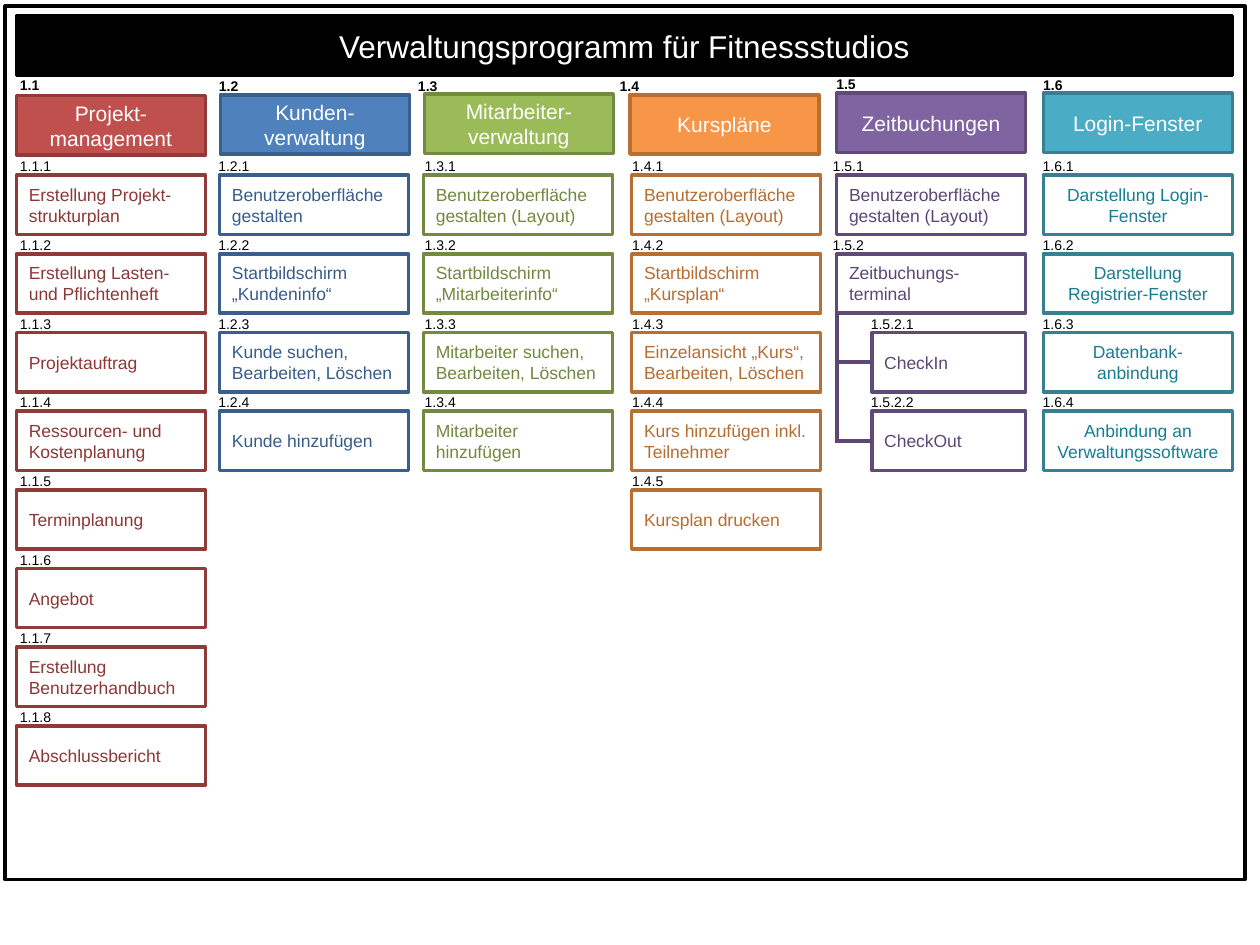
from dataclasses import dataclass

from pptx import Presentation
from pptx.dml.color import RGBColor
from pptx.enum.shapes import MSO_CONNECTOR, MSO_SHAPE
from pptx.enum.text import MSO_ANCHOR, PP_ALIGN
from pptx.oxml.ns import qn
from pptx.util import Pt

COLORS = {
    "black": "000000", "white": "FFFFFF",
    "red": "C0504D", "red line": "8E3B39", "red text": "8C3836",
    "blue": "4F81BD", "blue line": "3A5F8C", "blue text": "385D8A",
    "green": "9BBB59", "green line": "738A42", "green text": "71893F",
    "orange": "F79646", "orange line": "B76F34", "orange text": "B66D31",
    "purple": "8064A2", "purple line": "5F4A78", "purple text": "5C4776",
    "teal": "4BACC6", "teal line": "377F92", "teal text": "177D91",
}
FONT = "Arial"
BOX_WIDTH, BOX_HEIGHT = 108, 33.9
FIRST_TASK_TOP, FIRST_LABEL_TOP, ROW_PITCH = 100.1, 86.6, 44.95
CHILD_INDENT, CHILD_LABEL_INDENT = 20.1, 21.7


@dataclass
class Branch:
    """One column of the work breakdown structure."""
    title: str
    color: str
    head: tuple
    number: tuple
    task_left: float
    label_left: float
    tasks: list
    children: tuple = ()
    align: PP_ALIGN = PP_ALIGN.LEFT


BRANCHES = [
    Branch("Projekt-management", "red", (9.4, 54.7), (4.3, 40.3), 9.4, 4.3,
           ["Erstellung Projekt-strukturplan", "Erstellung Lasten- und Pflichtenheft",
            "Projektauftrag", "Ressourcen- und Kostenplanung", "Terminplanung", "Angebot",
            "Erstellung Benutzerhandbuch", "Abschlussbericht"]),
    Branch("Kunden-verwaltung", "blue", (126, 54.2), (118, 41), 125.5, 117.7,
           ["Benutzeroberfläche gestalten", "Startbildschirm „Kundeninfo“",
            "Kunde suchen, Bearbeiten, Löschen", "Kunde hinzufügen"]),
    Branch("Mitarbeiter-verwaltung", "green", (242.5, 53.8), (231.8, 40.5), 242, 235.6,
           ["Benutzeroberfläche gestalten (Layout)", "Startbildschirm „Mitarbeiterinfo“",
            "Mitarbeiter suchen, Bearbeiten, Löschen", "Mitarbeiter hinzufügen"]),
    Branch("Kurspläne", "orange", (360, 54.2), (347, 40.5), 361, 354.2,
           ["Benutzeroberfläche gestalten (Layout)", "Startbildschirm „Kursplan“",
            "Einzelansicht „Kurs“, Bearbeiten, Löschen", "Kurs hinzufügen inkl. Teilnehmer",
            "Kursplan drucken"]),
    Branch("Zeitbuchungen", "purple", (478.1, 53.3), (470.8, 39.6), 478.1, 468.8,
           ["Benutzeroberfläche gestalten (Layout)", "Zeitbuchungs-terminal"],
           children=("CheckIn", "CheckOut")),
    Branch("Login-Fenster", "teal", (596.2, 53.3), (589, 40.3), 596.2, 588.7,
           ["Darstellung Login-Fenster", "Darstellung Registrier-Fenster",
            "Datenbank-anbindung", "Anbindung an Verwaltungssoftware"],
           align=PP_ALIGN.CENTER),
]


def rgb(name):
    """Return the named colour."""
    return RGBColor.from_string(COLORS[name])


def write(shape, text, size, color, align=PP_ALIGN.LEFT, bold=False):
    """Put one styled paragraph into a shape."""
    shape.text_frame.word_wrap = True
    paragraph = shape.text_frame.paragraphs[0]
    paragraph.text = text
    paragraph.alignment = align
    font = paragraph.font
    font.name, font.size, font.bold = FONT, Pt(size), bold
    font.color.rgb = rgb(color)


def add_box(slide, left, top, width, height, line, fill=None):
    """Add an outlined rectangle, filled if a colour is given."""
    shape = slide.shapes.add_shape(
        MSO_SHAPE.RECTANGLE, Pt(left), Pt(top), Pt(width), Pt(height))
    shape.shadow.inherit = False
    shape.line.color.rgb = rgb(line)
    shape.line.width = Pt(2)
    if fill:
        shape.fill.solid()
        shape.fill.fore_color.rgb = rgb(fill)
    else:
        shape.fill.background()
    shape.text_frame.vertical_anchor = MSO_ANCHOR.MIDDLE
    return shape


def add_label(slide, text, left, top, width=33.1, bold=False):
    """Add a small outline number."""
    label = slide.shapes.add_textbox(Pt(left), Pt(top), Pt(width), Pt(17))
    write(label, text, 8, "black", bold=bold)


def add_line(slide, start, end, color):
    """Add a straight line without a shadow."""
    line = slide.shapes.add_connector(
        MSO_CONNECTOR.STRAIGHT, *(Pt(value) for value in start + end))
    line.line.color.rgb = rgb(color)
    line.line.width = Pt(2.25)
    properties = line._element.spPr
    properties.append(properties.makeelement(qn("a:effectLst"), {}))


def add_task(slide, branch, row, text, number, indent=0, label_indent=0):
    """Add one numbered task box in its row."""
    offset = row * ROW_PITCH
    box = add_box(slide, branch.task_left + indent, FIRST_TASK_TOP + offset,
                  BOX_WIDTH - indent, BOX_HEIGHT, f"{branch.color} line", "white")
    write(box, text, 10, f"{branch.color} text", branch.align)
    add_label(slide, number, branch.label_left + label_indent, FIRST_LABEL_TOP + offset,
              41.8 if indent else 33.1)


def add_children(slide, branch, parent_number):
    """Add the subtasks of the last task and the lines that join them."""
    color = f"{branch.color} text"
    left = branch.task_left
    first_row = len(branch.tasks)
    for index, text in enumerate(branch.children):
        row = first_row + index
        middle = FIRST_TASK_TOP + row * ROW_PITCH + BOX_HEIGHT / 2
        add_task(slide, branch, row, text, f"{parent_number}.{index + 1}",
                 CHILD_INDENT, CHILD_LABEL_INDENT)
        add_line(slide, (left, middle), (left + CHILD_INDENT, middle), color)
    top = FIRST_TASK_TOP + (first_row - 1) * ROW_PITCH + BOX_HEIGHT
    add_line(slide, (left, top), (left, middle + 1), color)


def add_branch(slide, branch, number):
    """Add a column heading with its tasks."""
    head = add_box(slide, *branch.head, BOX_WIDTH, BOX_HEIGHT,
                   f"{branch.color} line", branch.color)
    write(head, branch.title, 12, "white", PP_ALIGN.CENTER)
    add_label(slide, number, *branch.number, bold=True)
    for row, text in enumerate(branch.tasks):
        add_task(slide, branch, row, text, f"{number}.{row + 1}")
    if branch.children:
        add_children(slide, branch, f"{number}.{len(branch.tasks)}")


def main():
    """Build the work breakdown slide."""
    presentation = Presentation()
    presentation.slide_width, presentation.slide_height = Pt(720), Pt(540)
    slide = presentation.slides.add_slide(presentation.slide_layouts[6])
    add_box(slide, 2.9, 3.6, 708.5, 499, "black")
    title = add_box(slide, 9.4, 9.2, 694.8, BOX_HEIGHT, "black", "black")
    write(title, "Verwaltungsprogramm für Fitnessstudios", 18, "white", PP_ALIGN.CENTER)
    for index, branch in enumerate(BRANCHES, start=1):
        add_branch(slide, branch, f"1.{index}")
    presentation.save("out.pptx")


main()
